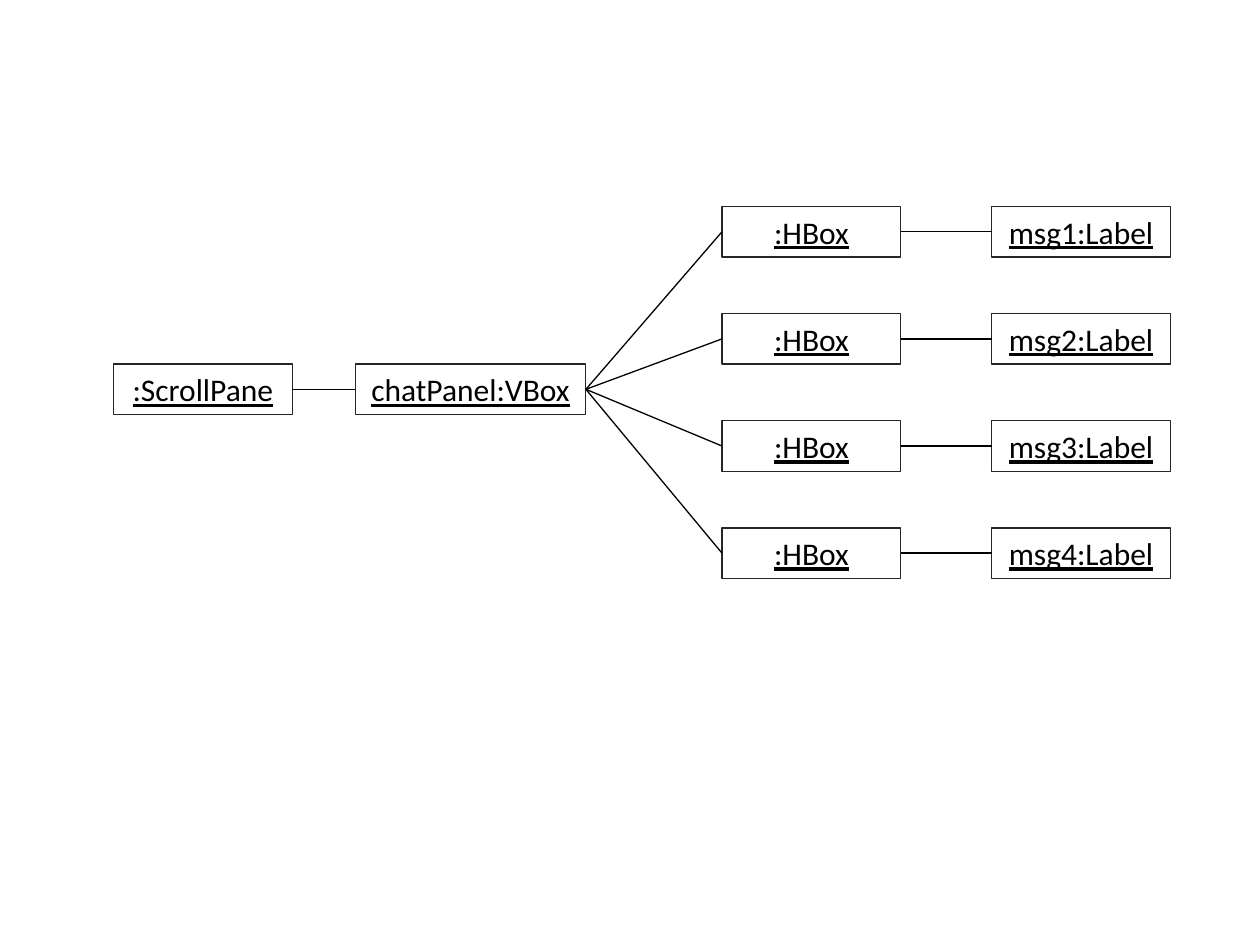
import pptx
import pptx.util
import pptx.dml.color
import pptx.enum.shapes
import pptx.enum.text
import pptx.oxml.ns
import lxml.etree

Inches = pptx.util.Inches
Pt = pptx.util.Pt
RGB = pptx.dml.color.RGBColor.from_string

THEME = {
    "border": RGB("262626"),
    "link": RGB("000000"),
    "stroke": Pt(0.75),
    "font": {"name": "Calibri", "size": Pt(18), "underline": True},
    "ink": RGB("000000"),
    "frame": {
        "word_wrap": True,
        "auto_size": pptx.enum.text.MSO_AUTO_SIZE.SHAPE_TO_FIT_TEXT,
        "vertical_anchor": pptx.enum.text.MSO_ANCHOR.MIDDLE,
    },
}
COLUMNS = {"scroll": 0.9, "chat": 2.82, "row": 5.73, "message": 7.87}
OBJECT_WIDTH, CHAT_WIDTH, OBJECT_HEIGHT = 1.42, 1.83, 0.4
ROOT_TOP, FIRST_ROW, ROW_PITCH = 2.89, 1.64, 0.85
LEFT_SITE, RIGHT_SITE = 1, 3


def add_object(shapes, label, left, top, width=OBJECT_WIDTH):
    node = shapes.add_shape(
        pptx.enum.shapes.MSO_SHAPE.RECTANGLE,
        Inches(left), Inches(top), Inches(width), Inches(OBJECT_HEIGHT),
    )
    node.shadow.inherit = False
    node.fill.background()
    node.line.color.rgb = THEME["border"]
    node.line.width = THEME["stroke"]
    for name, value in THEME["frame"].items():
        setattr(node.text_frame, name, value)
    paragraph = node.text_frame.paragraphs[0]
    paragraph.alignment = pptx.enum.text.PP_ALIGN.CENTER
    run = paragraph.add_run()
    run.text = label
    for name, value in THEME["font"].items():
        setattr(run.font, name, value)
    run.font.color.rgb = THEME["ink"]
    return node


def add_link(shapes, parent, child):
    link = shapes.add_connector(
        pptx.enum.shapes.MSO_CONNECTOR.STRAIGHT,
        parent.left + parent.width, parent.top + parent.height // 2,
        child.left, child.top + child.height // 2,
    )
    link.begin_connect(parent, RIGHT_SITE)
    link.end_connect(child, LEFT_SITE)
    link.line.color.rgb = THEME["link"]
    link.line.width = THEME["stroke"]
    lxml.etree.SubElement(link._element.spPr, pptx.oxml.ns.qn("a:effectLst"))


deck = pptx.Presentation()
deck.slide_width, deck.slide_height = Inches(10), Inches(7.5)
slide = deck.slides.add_slide(deck.slide_layouts[6])

scroll_pane = add_object(slide.shapes, ":ScrollPane", COLUMNS["scroll"], ROOT_TOP)
chat_panel = add_object(slide.shapes, "chatPanel:VBox", COLUMNS["chat"], ROOT_TOP, CHAT_WIDTH)

message_rows = []
for index in range(4):
    top = FIRST_ROW + index * ROW_PITCH
    pair = slide.shapes.add_group_shape()
    message_row = add_object(pair.shapes, ":HBox", COLUMNS["row"], top)
    message = add_object(pair.shapes, f"msg{index + 1}:Label", COLUMNS["message"], top)
    add_link(pair.shapes, message_row, message)
    message_rows.append(message_row)

add_link(slide.shapes, scroll_pane, chat_panel)
for message_row in message_rows:
    add_link(slide.shapes, chat_panel, message_row)

deck.save("out.pptx")
